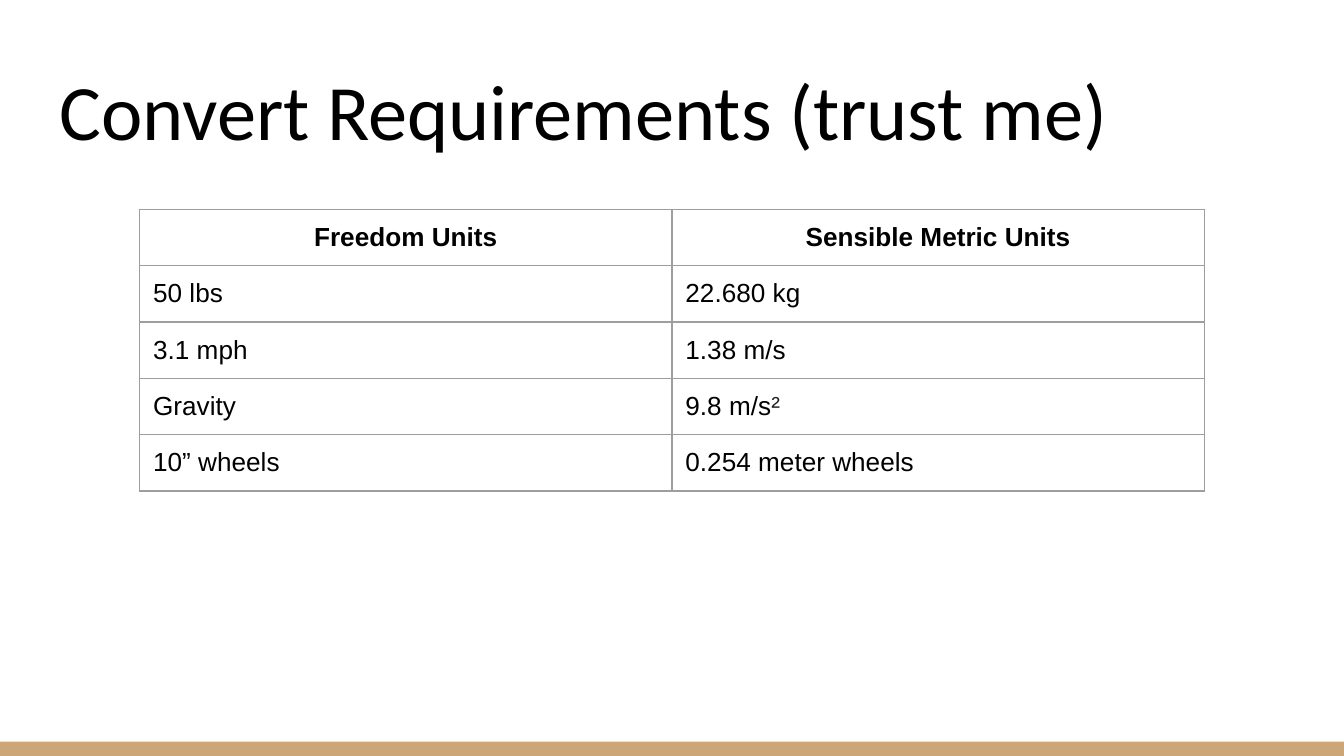
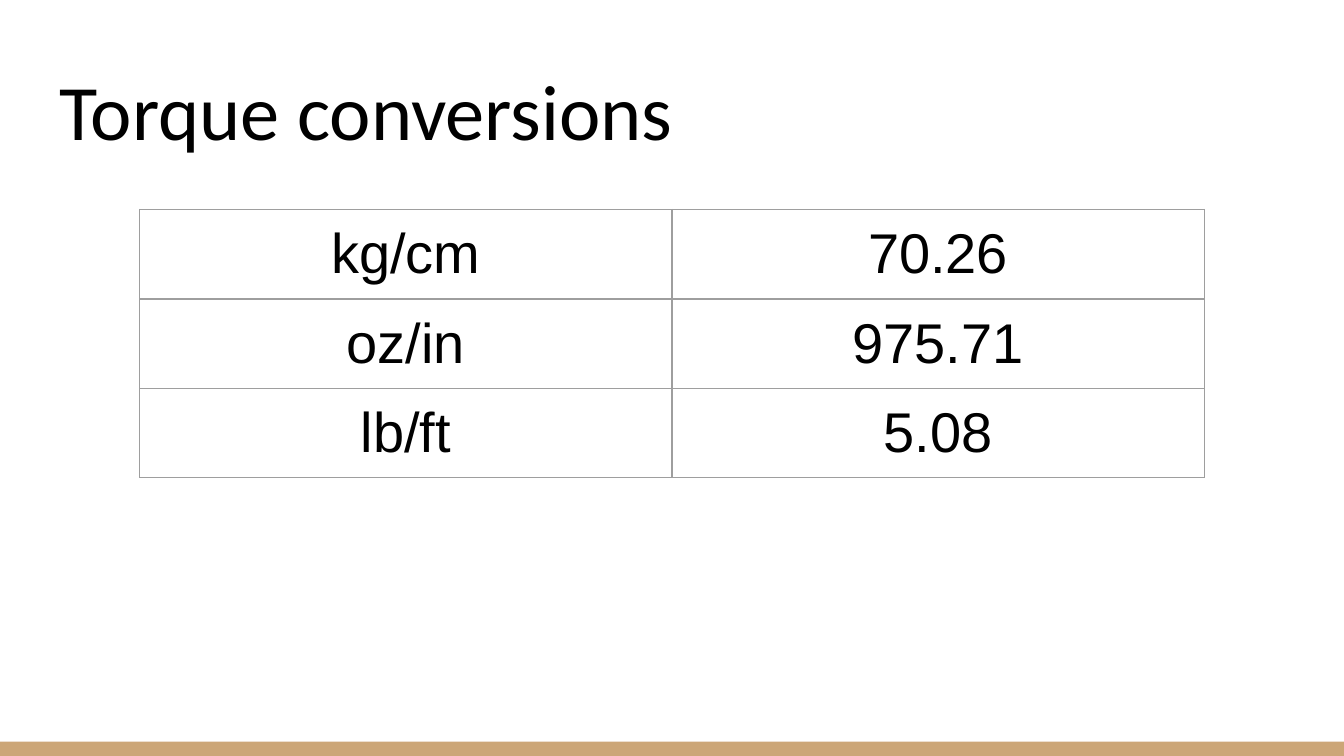
from pptx import Presentation
from pptx.dml.color import RGBColor
from pptx.enum.shapes import MSO_SHAPE
from pptx.enum.text import MSO_ANCHOR, MSO_AUTO_SIZE, PP_ALIGN
from pptx.oxml import parse_xml
from pptx.oxml.ns import nsdecls
from pptx.util import Cm, Pt

WIDE, HIGH = 25.4, 14.29
INSET = 0.254
BLACK, DARK, WHITE, TAN, GREY = "000000", "222222", "FFFFFF", "CCA677", "9E9E9E"


def paint(hue):
    return RGBColor.from_string(hue)


def style(run, face, size, hue=BLACK, bold=False):
    run.font.name = face
    run.font.size = Pt(size)
    run.font.bold = bold
    run.font.color.rgb = paint(hue)


def pad(box):
    box.margin_left = box.margin_right = Cm(INSET)
    box.margin_top = box.margin_bottom = Cm(INSET)


def add_band(slide):
    band = slide.shapes.add_shape(
        MSO_SHAPE.RECTANGLE, Cm(0), Cm(14.02), Cm(WIDE), Cm(HIGH - 14.02))
    band.shadow.inherit = False
    band.fill.solid()
    band.fill.fore_color.rgb = paint(TAN)
    band.line.fill.background()


def set_title(slide, text):
    title = slide.shapes.title
    title.left, title.top = Cm(0.87), Cm(0.89)
    title.width, title.height = Cm(23.67), Cm(2.31)
    frame = title.text_frame
    frame.text = text
    frame.word_wrap = True
    frame.auto_size = MSO_AUTO_SIZE.NONE
    frame.vertical_anchor = MSO_ANCHOR.BOTTOM
    pad(frame)
    line = frame.paragraphs[0]
    line.alignment = PP_ALIGN.LEFT
    style(line.runs[0], "Calibri", 42)


def add_slide(deck, text):
    slide = deck.slides.add_slide(deck.slide_layouts[5])
    slide.background.fill.solid()
    slide.background.fill.fore_color.rgb = paint(WHITE)
    add_band(slide)
    set_title(slide, text)
    return slide


def rule_cell(cell):
    props = cell._tc.get_or_add_tcPr()
    for spot, side in enumerate(("lnL", "lnR", "lnT", "lnB")):
        props.insert(spot, parse_xml(
            f'<a:{side} {nsdecls("a")} w="{Pt(0.75)}"><a:solidFill>'
            f'<a:srgbClr val="{GREY}"/></a:solidFill></a:{side}>'))


def fill_cell(cell, text, size, bold, align, anchor):
    cell.fill.background()
    rule_cell(cell)
    pad(cell)
    cell.vertical_anchor = anchor
    cell.text_frame.text = text
    line = cell.text_frame.paragraphs[0]
    line.alignment = align
    style(line.runs[0], "Arial", size, bold=bold)


def add_grid(slide, rows, size, head=False, align=PP_ALIGN.LEFT, anchor=MSO_ANCHOR.TOP):
    wide, high = 10.06, 1.06
    count = len(rows[0])
    grid = slide.shapes.add_table(
        len(rows), count, Cm(2.64), Cm(3.96),
        Cm(wide * count), Cm(high * len(rows))).table
    grid.first_row = head
    grid.horz_banding = False
    for col in grid.columns:
        col.width = Cm(wide)
    for r, row in enumerate(rows):
        grid.rows[r].height = Cm(high)
        top = head and r == 0
        for c, text in enumerate(row):
            fill_cell(grid.cell(r, c), text, size, top,
                      PP_ALIGN.CENTER if top else align, anchor)
    return grid


def add_power(cell, text, size):
    run = cell.text_frame.paragraphs[0].add_run()
    run.text = text
    style(run, "Arial", size, DARK)


def main():
    deck = Presentation()
    deck.slide_width, deck.slide_height = Cm(WIDE), Cm(HIGH)

    units = add_slide(deck, "Convert Requirements (trust me)")
    grid = add_grid(units, [
        ("Freedom Units", "Sensible Metric Units"),
        ("50 lbs", "22.680 kg"),
        ("3.1 mph", "1.38 m/s"),
        ("Gravity", "9.8 m/s"),
        ("10” wheels", "0.254 meter wheels"),
    ], 14, head=True)
    add_power(grid.cell(3, 1), "²", 14)

    torque = add_slide(deck, "Torque conversions")
    add_grid(torque, [
        ("kg/cm", "70.26"),
        ("oz/in", "975.71"),
        ("lb/ft", "5.08"),
    ], 30, align=PP_ALIGN.CENTER, anchor=MSO_ANCHOR.MIDDLE)

    deck.save("out.pptx")


if __name__ == "__main__":
    main()
